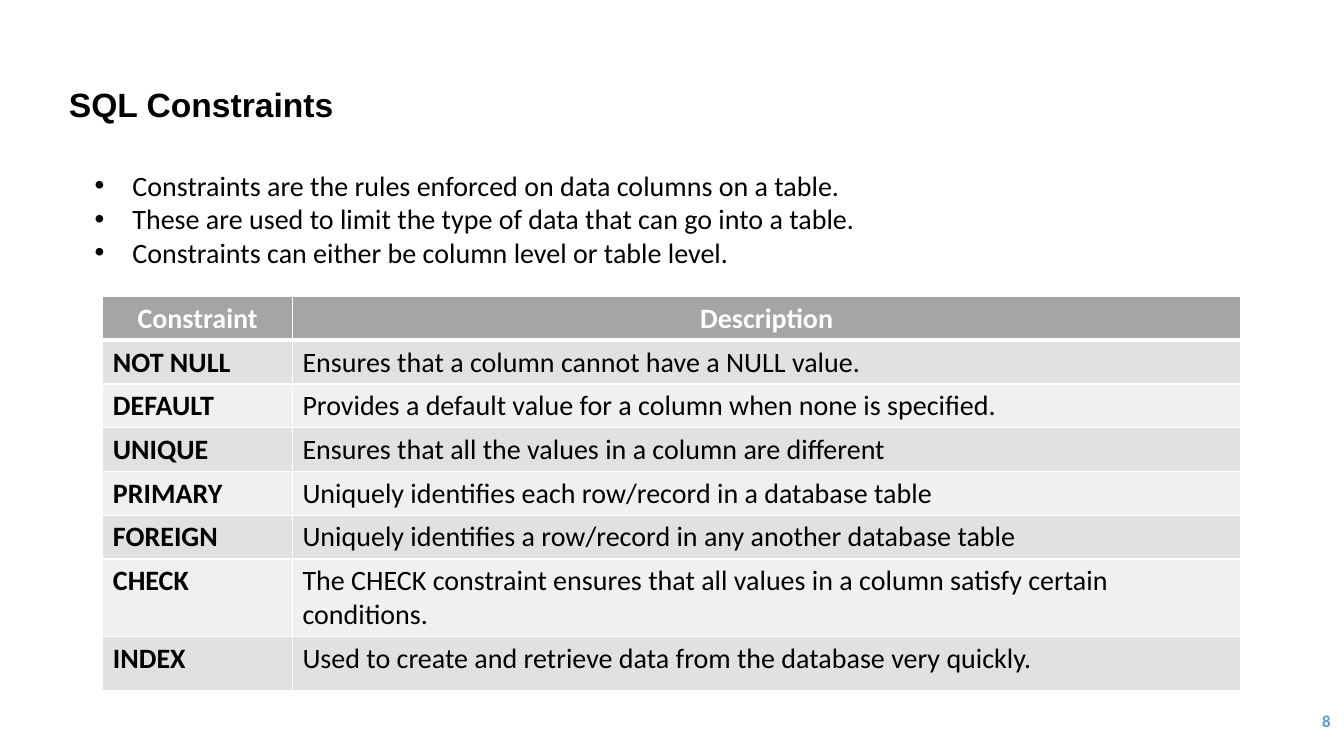
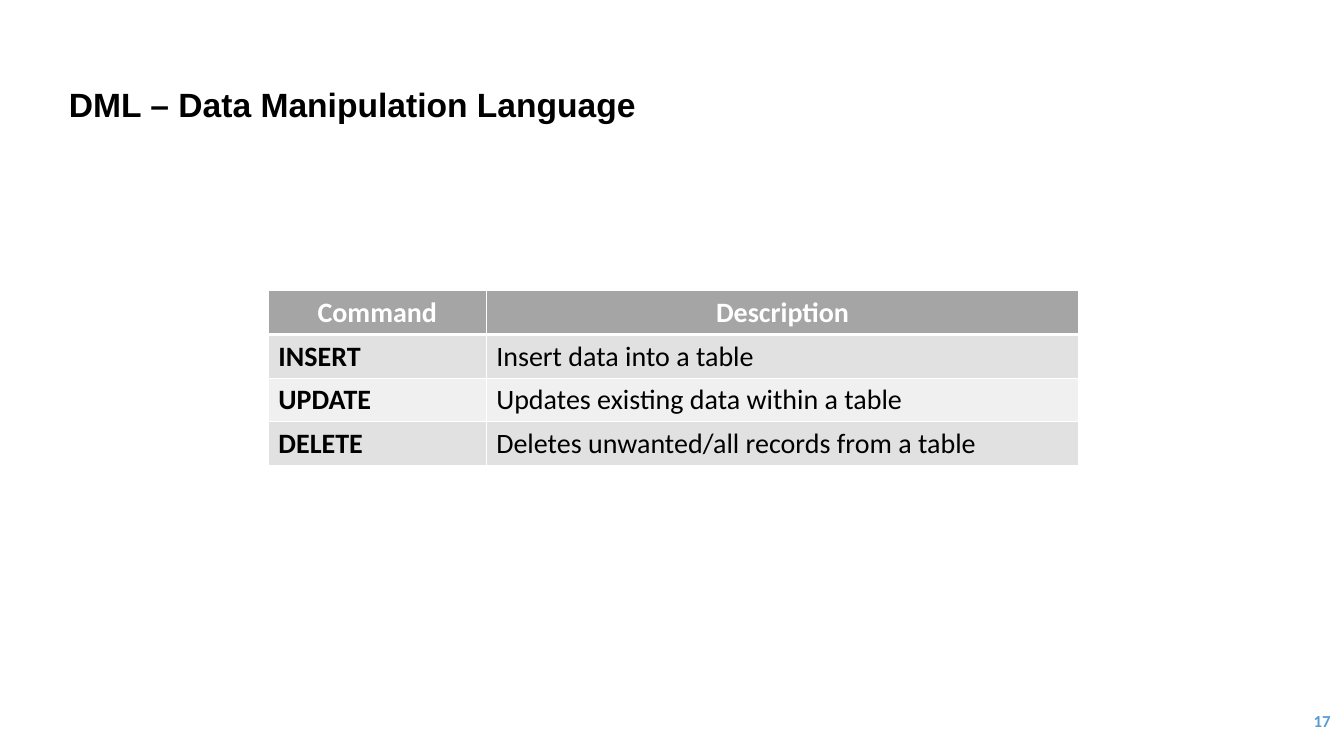
from lxml import etree
from pptx import Presentation
from pptx.dml.color import RGBColor
from pptx.enum.text import MSO_ANCHOR, MSO_AUTO_SIZE, PP_ALIGN
from pptx.oxml.ns import qn
from pptx.util import Pt

LEFT, CENTER, RIGHT = PP_ALIGN.LEFT, PP_ALIGN.CENTER, PP_ALIGN.RIGHT
MIDDLE, NO_FIT = MSO_ANCHOR.MIDDLE, MSO_AUTO_SIZE.NONE

BLACK = RGBColor(0x00, 0x00, 0x00)
WHITE = RGBColor(0xFF, 0xFF, 0xFF)
BLUE = RGBColor(0x5B, 0x9B, 0xD5)
HEADER_GREY = RGBColor(0xA5, 0xA5, 0xA5)
BANDS = RGBColor(0xE1, 0xE1, 0xE1), RGBColor(0xF0, 0xF0, 0xF0)

HEADING_FONT, BODY_FONT = "Arial", "Calibri"
TITLE_SIZE, BODY_SIZE, NUMBER_SIZE = 24, 20, 12
TITLE_ONLY = 5
BULLET_INDENT = Pt(27)
THIN, THICK = Pt(1), Pt(3)

CONSTRAINT_RULES = [
    "Constraints are the rules enforced on data columns on a table.",
    "These are used to limit the type of data that can go into a table.",
    "Constraints can either be column level or table level.",
]
CONSTRAINTS = [
    ("Constraint", "Description"),
    ("NOT NULL", "Ensures that a column cannot have a NULL value."),
    ("DEFAULT", "Provides a default value for a column when none is specified."),
    ("UNIQUE", "Ensures that all the values in a column are different"),
    ("PRIMARY", "Uniquely identifies each row/record in a database table"),
    ("FOREIGN", "Uniquely identifies a row/record in any another database table"),
    ("CHECK", "The CHECK constraint ensures that all values in a column satisfy certain conditions."),
    ("INDEX", "Used to create and retrieve data from the database very quickly."),
]
COMMANDS = [
    ("Command", "Description"),
    ("INSERT", "Insert data into a table"),
    ("UPDATE", "Updates existing data within a table"),
    ("DELETE", "Deletes unwanted/all records from a table"),
]


class Deck:
    """Holds the shared style and the slide being built."""

    def __init__(self):
        self.prs = Presentation()
        self.prs.slide_width, self.prs.slide_height = Pt(960), Pt(540)
        self.slide = None

    def style(self, paragraph, size, color=BLACK, bold=False, font=BODY_FONT, align=LEFT):
        paragraph.alignment = align
        for run in paragraph.runs:
            run.font.name, run.font.size = font, Pt(size)
            run.font.bold = bold
            run.font.color.rgb = color

    def new_slide(self, heading, number):
        self.slide = self.prs.slides.add_slide(self.prs.slide_layouts[TITLE_ONLY])
        title = self.slide.shapes.title
        title.left, title.top, title.width, title.height = Pt(42), Pt(62), Pt(752), Pt(29)
        frame = title.text_frame
        frame.text = heading
        frame.auto_size, frame.vertical_anchor = NO_FIT, MIDDLE
        frame.paragraphs[0].line_spacing = 0.9
        self.style(frame.paragraphs[0], TITLE_SIZE, bold=True, font=HEADING_FONT)
        self.page_number(number)

    def text_frame(self, left, top, width, height):
        frame = self.slide.shapes.add_textbox(Pt(left), Pt(top), Pt(width), Pt(height)).text_frame
        frame.word_wrap = True
        return frame

    def page_number(self, number):
        frame = self.text_frame(837.5, 500.5, 120, 29)
        frame.vertical_anchor = MIDDLE
        frame.text = str(number)
        self.style(frame.paragraphs[0], NUMBER_SIZE, BLUE, bold=True, align=RIGHT)

    def bullets(self, left, top, width, height, lines):
        frame = self.text_frame(left, top, width, height)
        frame.text = "\n".join(lines)
        for paragraph in frame.paragraphs:
            props = paragraph._p.get_or_add_pPr()
            props.set("marL", str(BULLET_INDENT))
            props.set("indent", str(-BULLET_INDENT))
            etree.SubElement(props, qn("a:buFont"), typeface=HEADING_FONT)
            etree.SubElement(props, qn("a:buChar"), char="•")
            self.style(paragraph, BODY_SIZE)

    def borders(self, cell, row):
        widths = {"L": THIN, "R": THIN,
                  "T": THICK if row == 1 else THIN,
                  "B": THICK if row == 0 else THIN}
        props = cell._tc.get_or_add_tcPr()
        for side, width in widths.items():
            line = etree.SubElement(props, qn(f"a:ln{side}"), w=str(width))
            fill = etree.SubElement(line, qn("a:solidFill"))
            etree.SubElement(fill, qn("a:srgbClr"), val=str(WHITE))

    def table(self, left, top, height, col_widths, row_heights, rows):
        graphic = self.slide.shapes.add_table(
            len(rows), len(col_widths), Pt(left), Pt(top), Pt(sum(col_widths)), Pt(height))
        grid = graphic.table
        for column, width in zip(grid.columns, col_widths):
            column.width = Pt(width)
        for r, (texts, row_height) in enumerate(zip(rows, row_heights)):
            grid.rows[r].height = Pt(row_height)
            header = r == 0
            for c, text in enumerate(texts):
                cell = grid.cell(r, c)
                self.borders(cell, r)
                cell.fill.solid()
                cell.fill.fore_color.rgb = HEADER_GREY if header else BANDS[(r - 1) % 2]
                cell.text_frame.text = text
                self.style(cell.text_frame.paragraphs[0], BODY_SIZE,
                           WHITE if header else BLACK,
                           bold=header or c == 0, align=CENTER if header else LEFT)
        graphic.height = Pt(height)


def main():
    deck = Deck()

    deck.new_slide("SQL Constraints", 8)
    deck.bullets(60.5, 116.5, 722, 80, CONSTRAINT_RULES)
    deck.table(73.5, 211.8, 280.8, [135.4, 677.5], [26] * 6 + [42, 39], CONSTRAINTS)

    deck.new_slide("DML – Data Manipulation Language", 17)
    deck.table(191.7, 207.6, 124.6, [155.6, 423.4], [29.5] * 4, COMMANDS)

    deck.prs.save("out.pptx")


if __name__ == "__main__":
    main()
